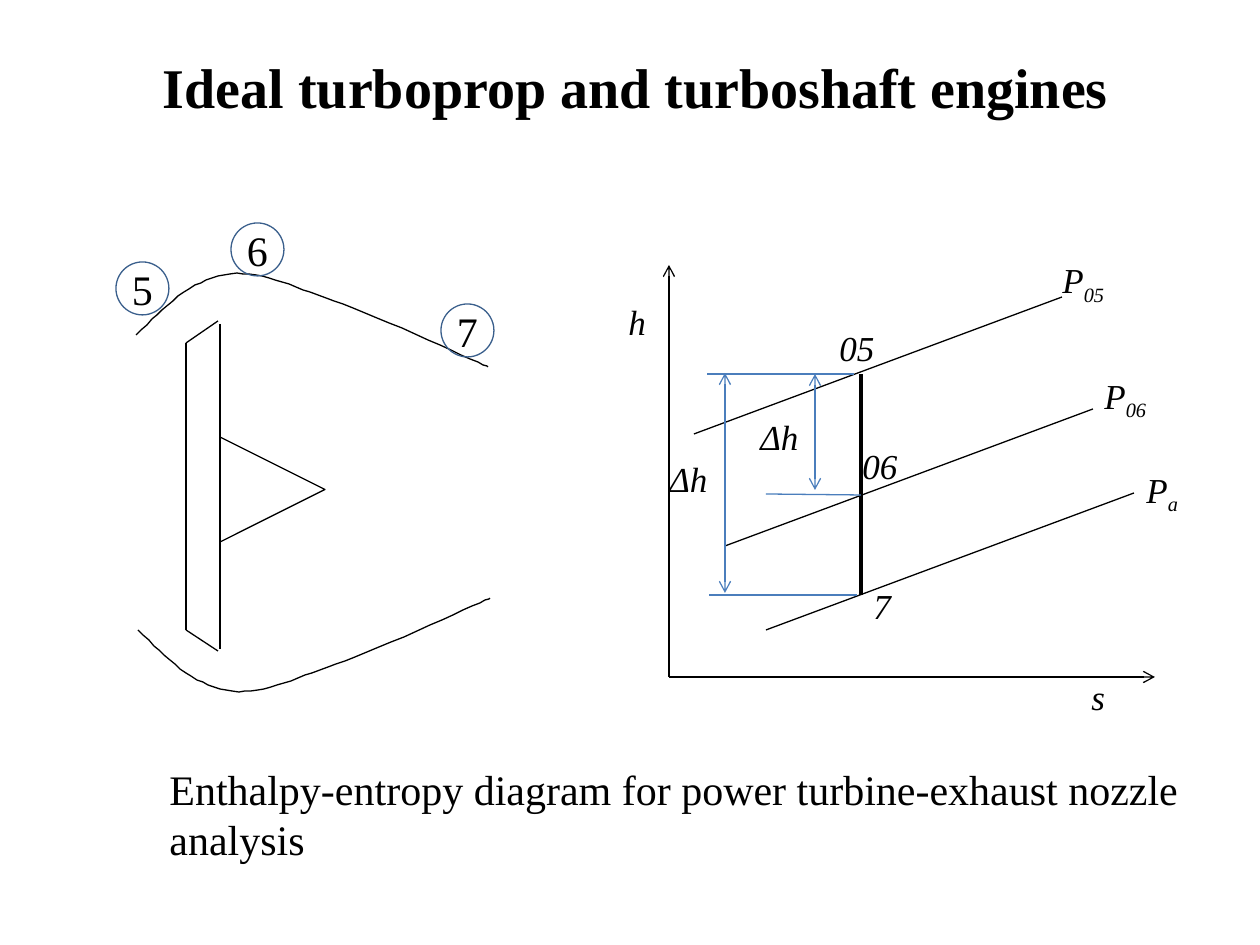
from pptx import Presentation
from pptx.dml.color import RGBColor
from pptx.enum.shapes import MSO_CONNECTOR, MSO_SHAPE as SHAPE
from pptx.enum.text import MSO_ANCHOR as ANCHOR, PP_ALIGN as ALIGN
from pptx.oxml.ns import qn
from pptx.util import Pt
from lxml.etree import SubElement

PX = 7257  # EMU per px, 126 px to the inch
COLORS = {"ink": "000000", "dimension": "4B7EBC", "station": "3A5F8C"}

prs = Presentation()
prs.slide_width, prs.slide_height = 1260 * PX, 945 * PX
slide = prs.slides.add_slide(prs.slide_layouts[6])
shapes = slide.shapes


def add_line(x1, y1, x2, y2, color="ink", width=0.75, arrows=()):
    line = shapes.add_connector(MSO_CONNECTOR.STRAIGHT, x1 * PX, y1 * PX, x2 * PX, y2 * PX)
    line.line.color.rgb = RGBColor.from_string(COLORS[color])
    line.line.width = Pt(width)
    for end in arrows:
        SubElement(line.line._get_or_add_ln(), qn(f"a:{end}"), type="arrow")
    SubElement(line._element.spPr, qn("a:effectLst"))


def add_text(text, x, y, w, h, size=20, italic=True, sub=""):
    box = shapes.add_textbox(x * PX, y * PX, w * PX, h * PX)
    paragraph = box.text_frame.paragraphs[0]
    paragraph.text = text
    if sub:
        paragraph.add_run().text = sub
        paragraph.runs[1].font._element.set("baseline", "-25000")
    for run in paragraph.runs:
        run.font.name, run.font.size, run.font.italic = "Times New Roman", Pt(size), italic
        run.font.color.rgb = RGBColor.from_string(COLORS["ink"])
    return box.text_frame


# Title
title = add_text("Ideal turboprop and turboshaft engines", 69, 39, 1134, 94, 32, False)
title.word_wrap = True
title.vertical_anchor = ANCHOR.MIDDLE
title.paragraphs[0].alignment = ALIGN.CENTER
title.paragraphs[0].runs[0].font.bold = True

# Power turbine rotor
for rotor_edge in [(186, 343, 186, 630), (220, 324, 220, 649),
                   (186, 343, 218, 321), (186, 630, 218, 651)]:
    add_line(*rotor_edge)

# Exhaust cone
cone = shapes.add_shape(SHAPE.ISOSCELES_TRIANGLE, 220 * PX, 437 * PX, 105 * PX, 105 * PX)
cone.rotation = 90
outlines = [(cone, "ink")]

# Nozzle walls: Bezier segments sampled as points, the lower wall mirrors the upper
WALL = [(136, 335), (164, 307), (192, 280), (224, 275), (258, 268),
        (290, 286), (334, 301), (378, 316), (488, 367), (488, 367)]
STEPS = 16
wall_points = [WALL[0]]
for start in range(0, 9, 3):
    controls = WALL[start:start + 4]
    for step in range(1, STEPS + 1):
        t = step / STEPS
        weights = ((1 - t) ** 3, 3 * t * (1 - t) ** 2, 3 * t ** 2 * (1 - t), t ** 3)
        wall_points.append(tuple(sum(k * point[axis] for k, point in zip(weights, controls))
                                 for axis in (0, 1)))
lower_points = [(x + 2, 965 - y) for x, y in wall_points]
for points in (wall_points, lower_points):
    builder = shapes.build_freeform(*points[0], scale=PX)
    builder.add_line_segments(points[1:], close=False)
    outlines.append((builder.convert_to_shape(), "ink"))

# Axes
add_line(669, 677, 1155, 677, arrows=["tailEnd"])
add_line(669, 677, 669, 265, arrows=["tailEnd"])

# Isobars and the expansion line
for x, y in [(694, 434), (725, 546), (766, 630)]:
    add_line(x, y, x + 368, y - 137)
add_line(861, 374, 861, 595, width=1.75)

# Station markers
for number, x, y in [("5", 116, 262), ("6", 231, 223), ("7", 441, 304)]:
    station = shapes.add_shape(SHAPE.FLOWCHART_CONNECTOR, x * PX, y * PX, 53 * PX, 53 * PX)
    frame = station.text_frame
    frame.margin_left = frame.margin_right = frame.margin_top = frame.margin_bottom = 0
    frame.vertical_anchor = ANCHOR.MIDDLE
    frame.text = number
    frame.paragraphs[0].alignment = ALIGN.CENTER
    font = frame.paragraphs[0].runs[0].font
    font.name, font.size = "Times New Roman", Pt(24)
    font.color.rgb = RGBColor.from_string(COLORS["ink"])
    outlines.append((station, "station"))

for outline, color in outlines:
    outline.fill.background()
    outline.line.color.rgb = RGBColor.from_string(COLORS[color])
    outline.line.width = Pt(0.75)
    outline.shadow.inherit = False

# Enthalpy drops: extension lines, then double arrows
for extension in [(854, 374, 707, 374), (857, 595, 709, 595), (861, 495, 766, 494)]:
    add_line(*extension, color="dimension")
for x, top, bottom in [(725, 373, 593), (815, 374, 490)]:
    add_line(x, top, x, bottom, color="dimension", arrows=["headEnd", "tailEnd"])

# Diagram labels
for text, sub, x, y, w in [
    ("s", "", 1079, 669, 39), ("h", "", 616, 294, 43),
    ("Δh", "", 657, 451, 64), ("Δh", "", 748, 409, 64),
    ("05", "", 827, 320, 60), ("06", "", 850, 438, 60), ("7", "", 861, 578, 43),
    ("P", "05", 1050, 252, 71), ("P", "06", 1092, 368, 71), ("P", "a", 1134, 462, 60),
]:
    add_text(text, x, y, w, 55, sub=sub).word_wrap = False

# Caption
caption = add_text("Enthalpy-entropy diagram for power turbine-exhaust nozzle analysis",
                   157, 757, 1040, 115, 24, False)
caption.word_wrap = True

prs.save("out.pptx")
